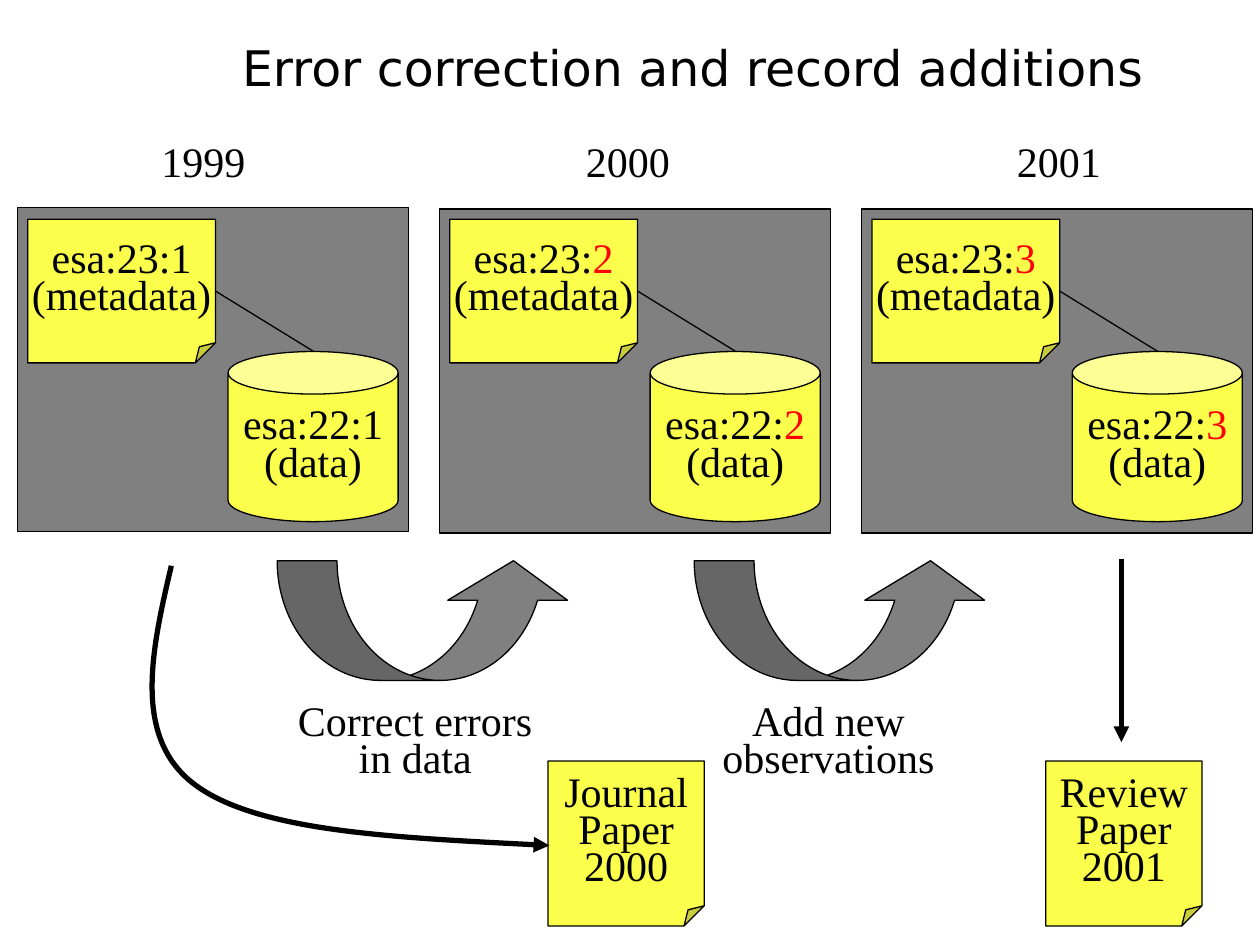
from pptx import Presentation
from pptx.dml.color import RGBColor
from pptx.enum.shapes import MSO_CONNECTOR, MSO_SHAPE
from pptx.enum.text import MSO_ANCHOR, PP_ALIGN
from pptx.oxml.ns import qn
from pptx.util import Inches, Pt
from lxml import etree

RECT, NOTE, CAN = MSO_SHAPE.RECTANGLE, MSO_SHAPE.FOLDED_CORNER, MSO_SHAPE.CAN
SWOOP = MSO_SHAPE.CURVED_UP_ARROW
LINE = MSO_CONNECTOR.STRAIGHT
LEFT, CENTER = PP_ALIGN.LEFT, PP_ALIGN.CENTER
TOP, MIDDLE = MSO_ANCHOR.TOP, MSO_ANCHOR.MIDDLE
COLORS = {
    "ink": "000000",
    "panel": "808080",
    "note": "FBFF4C",
    "new": "FF0000",
}
PAL = {name: RGBColor.from_string(code) for name, code in COLORS.items()}

prs = Presentation()
prs.slide_width, prs.slide_height = Inches(10), Inches(7.5)
slide = prs.slides.add_slide(prs.slide_layouts[6])
shapes = slide.shapes


def draw(kind, left, top, width, height, fill, adjust=None):
    shape = shapes.add_shape(kind, Inches(left), Inches(top), Inches(width), Inches(height))
    shape.shadow.inherit = False
    shape.fill.solid()
    shape.fill.fore_color.rgb = PAL[fill]
    shape.line.color.rgb = PAL["ink"]
    shape.line.width = Pt(0.75)
    if adjust:
        # The folded corner has no public adjustments, so guides are set in XML
        guides = next(shape.element.iter(qn("a:avLst")))
        for old in list(guides):
            guides.remove(old)
        for name, value in adjust.items():
            etree.SubElement(guides, qn("a:gd"), name=name, fmla=f"val {value}")
    return shape


def write(shape, lines, side=0.1, edge=0.04, anchor=MIDDLE, align=CENTER,
          font="Times New Roman", size=24, space=0.74):
    """Each line is a list of runs; a second run is shown as new."""
    frame = shape.text_frame
    frame.word_wrap = False
    frame.vertical_anchor = anchor
    frame.margin_left = frame.margin_right = Inches(side)
    frame.margin_top = frame.margin_bottom = Inches(edge)
    for i, runs in enumerate(lines):
        par = frame.add_paragraph() if i else frame.paragraphs[0]
        par.alignment = align
        par.line_spacing = space
        par.font.name = font
        par.font.size = Pt(size)
        par.font.color.rgb = PAL["ink"]
        for text, color in zip(runs, ("ink", "new")):
            run = par.add_run()
            run.text = text
            if color == "new":
                run.font.color.rgb = PAL[color]


# Title
title = shapes.add_textbox(Inches(1.33), Inches(0), Inches(8.33), Inches(1.06))
write(title, [["Error correction and record additions"]], edge=0.06,
      font="DejaVu Sans", size=28, space=1)

# Yearly panels, each with a metadata note joined to a data store
years = [("1999", 1.24, 1.65), ("2000", 4.61, 1.66), ("2001", 8.03, 1.66)]
for i, (year, left, top) in enumerate(years):
    x = 0.14 + 3.35 * i
    ver = str(i + 1)
    label = shapes.add_textbox(Inches(left), Inches(1.17), Inches(0.76), Inches(0.3))
    write(label, [[year]], side=0.04, edge=0, anchor=TOP, align=LEFT)

    draw(RECT, x, top, 3.1, 2.57, "panel")
    note = draw(NOTE, x + 0.08, 1.74, 1.49, 1.14, "note", {"adj": 14000})
    store = draw(CAN, x + 1.67, 2.79, 1.35, 1.35, "note", {"adj": 25000})
    for shape, code, role in ((note, "esa:23:", "(metadata)"), (store, "esa:22:", "(data)")):
        write(shape, [[code, ver] if i else [code + ver], [role]])

    link = shapes.add_connector(LINE, Inches(x + 1.57), Inches(2.31),
                                Inches(x + 2.35), Inches(2.79))
    link.begin_connect(note, 3)
    link.line.color.rgb = PAL["ink"]
    link.line.width = Pt(0.75)
    etree.SubElement(link.element.spPr, qn("a:effectLst"))

# Steps between the years
bend = {"adj1": 50000, "adj2": 100000, "adj3": 33000}
steps = [
    (2.2, 2.32, 1.95, ["Correct errors", "in data"]),
    (5.51, 5.69, 1.77, ["Add new", "observations"]),
]
for left, x, width, lines in steps:
    draw(SWOOP, left, 4.45, 2.35, 0.95, "panel", bend)
    label = shapes.add_textbox(Inches(x), Inches(5.61), Inches(width), Inches(0.59))
    write(label, [[line] for line in lines], side=0.04, edge=0, anchor=TOP)

# Papers
for left, name, year in ((4.35, "Journal", "2000"), (8.3, "Review", "2001")):
    paper = draw(NOTE, left, 6.04, 1.24, 1.31, "note", {"adj": 13000})
    write(paper, [[name], ["Paper"], [year]])

# Curved arrow: the points are grouped in threes into Bezier segments
points = [(1.2, 5.17), (1.05, 5.86), (1.55, 6.23), (2.05, 6.6), (3.2, 6.65), (4.36, 6.71)]
pen = shapes.build_freeform(Inches(1.36), Inches(4.49))
pen.add_line_segments([(Inches(x), Inches(y)) for x, y in points], close=False)
curve = pen.convert_to_shape()
curve.shadow.inherit = False
curve.fill.background()
legs = list(curve.element.iter(qn("a:lnTo")))
track = legs[0].getparent()
for i in range(0, len(legs), 3):
    arc = etree.SubElement(track, qn("a:cubicBezTo"))
    for leg in legs[i:i + 3]:
        arc.append(leg[0])
        track.remove(leg)

# Straight arrow
drop = shapes.add_connector(LINE, Inches(8.9), Inches(4.44), Inches(8.9), Inches(5.89))

# Heavy lines with arrowheads
for arrow in (curve, drop):
    arrow.line.color.rgb = PAL["ink"]
    arrow.line.width = Pt(3)
    stroke = arrow.element.spPr.find(qn("a:ln"))
    etree.SubElement(stroke, qn("a:tailEnd"), type="triangle")
etree.SubElement(drop.element.spPr, qn("a:effectLst"))

prs.save("out.pptx")
